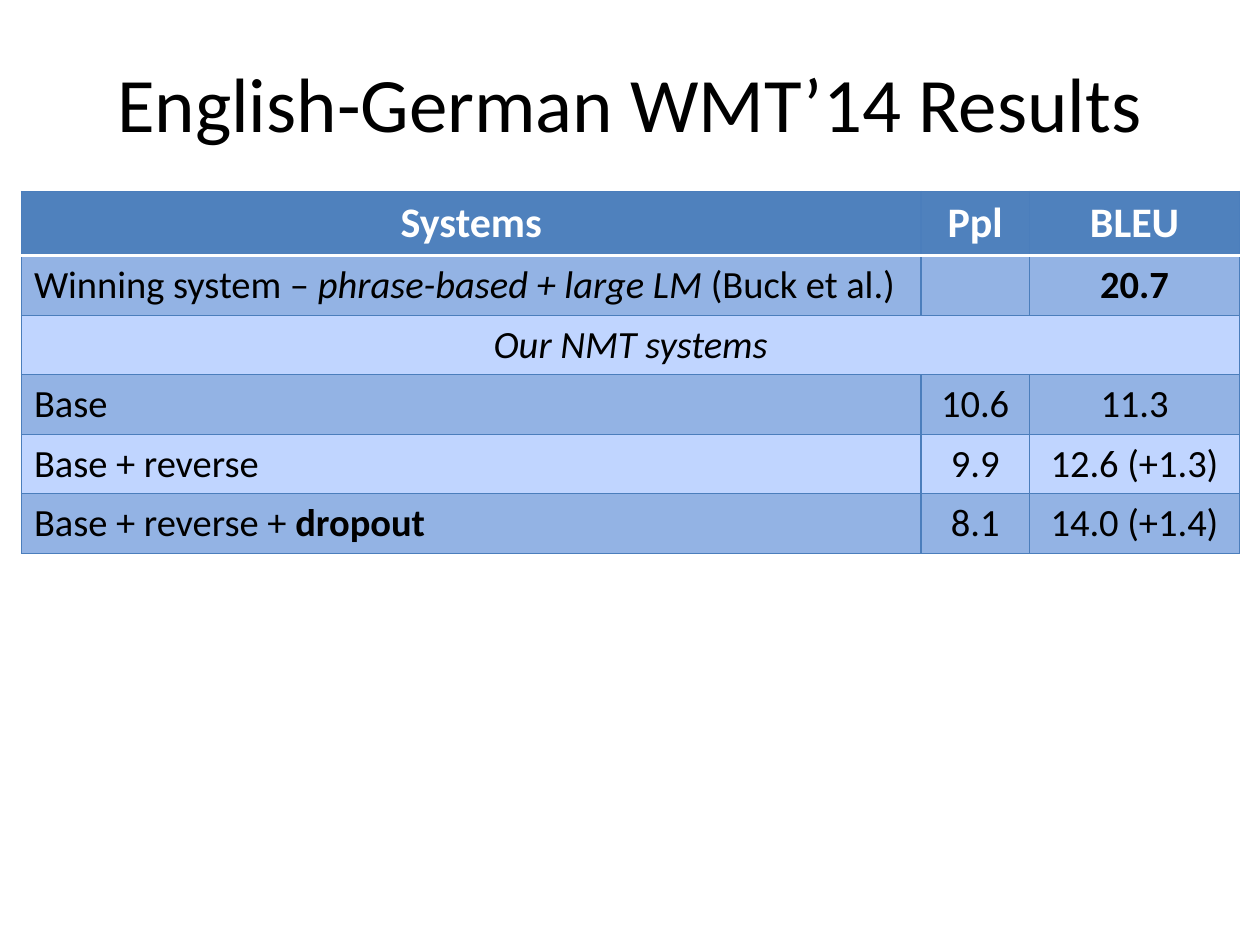
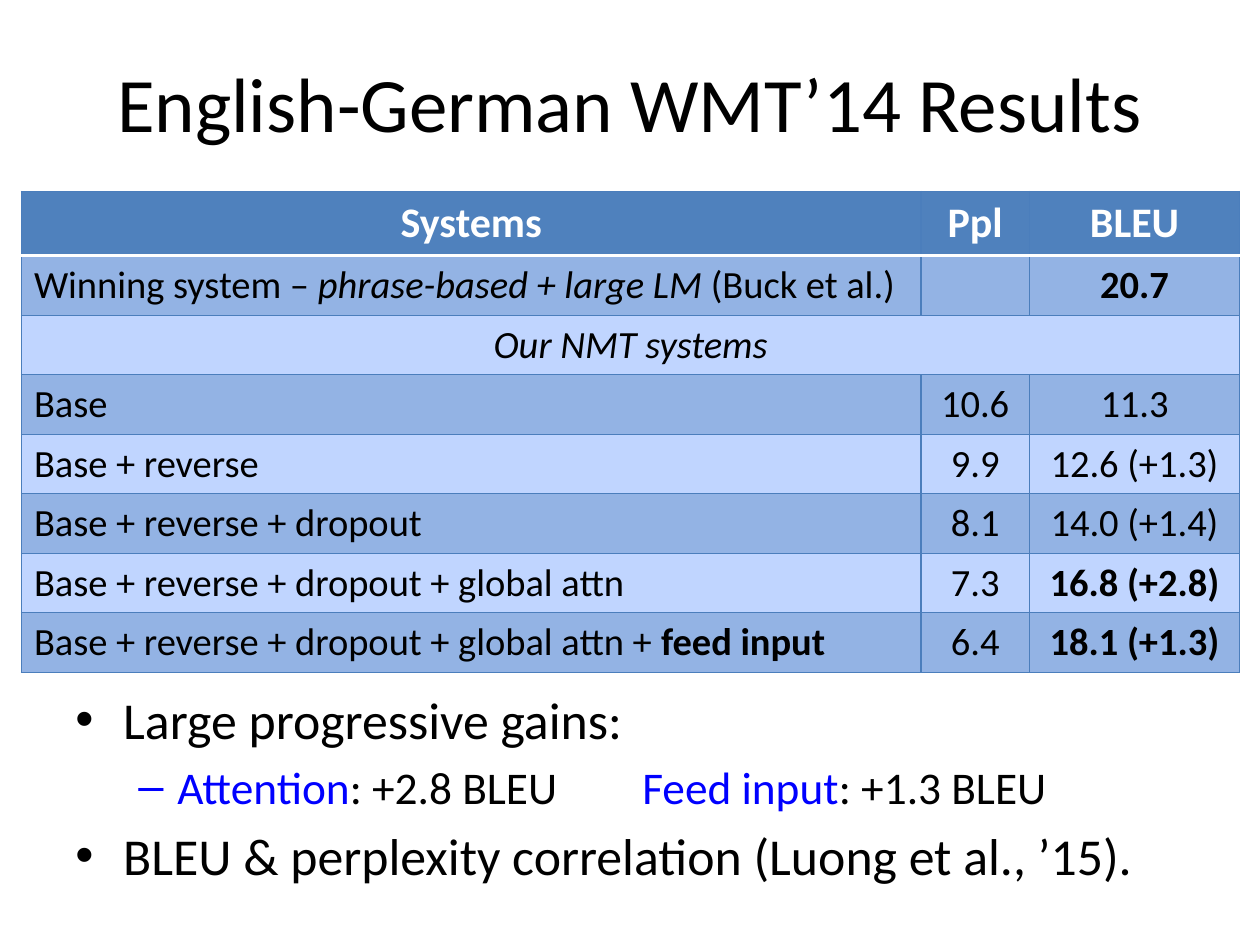
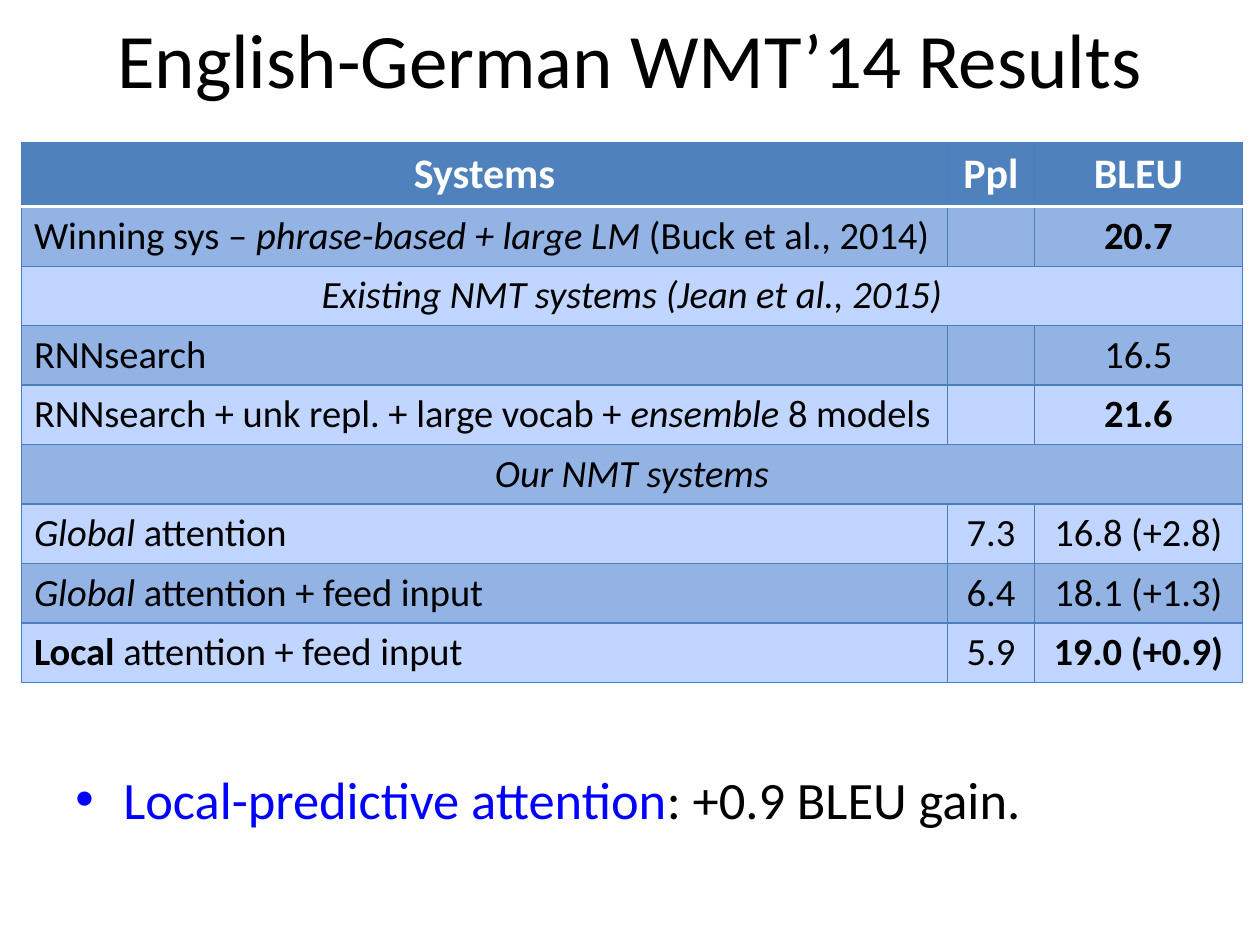
from dataclasses import dataclass

from lxml import etree
from pptx import Presentation
from pptx.dml.color import RGBColor
from pptx.enum.text import MSO_ANCHOR, PP_ALIGN
from pptx.oxml.ns import qn
from pptx.util import Inches, Pt

CENTER, LEFT = PP_ALIGN.CENTER, PP_ALIGN.LEFT
MIDDLE, TOP = MSO_ANCHOR.MIDDLE, MSO_ANCHOR.TOP
TITLE_ONLY = 5


@dataclass(frozen=True)
class Theme:
    """Colours, font and type sizes shared by the slides."""

    font: str = "Calibri"
    bullet_font: str = "Arial"
    black: str = "000000"
    white: str = "FFFFFF"
    accent: str = "0000FF"
    header: str = "4F81BD"
    dark_band: str = "93B3E4"
    light_band: str = "C0D5FF"
    grid: str = "4B7EBC"
    grid_width: float = 0.75
    header_rule: float = 2
    title_size: float = 44
    header_size: float = 24
    cell_size: float = 22


THEME = Theme()
TITLE = "English-German WMT’14 Results"
HEADER_HEIGHT, ROW_HEIGHT = 0.51, 0.47
BULLETS = (("•", 0.38, -0.38), ("–", 0.81, -0.31))

HEADINGS = ("Systems", "Ppl", "BLEU")
OUR_SYSTEMS = ([("Our NMT systems", "italic")],)
BASE_ROWS = [
    (
        [("Winning system – ", ""), ("phrase-based + large LM ", "italic"), ("(Buck et al.)", "")],
        [],
        [("20.7", "bold")],
    ),
    OUR_SYSTEMS,
    ([("Base", "")], [("10.6", "")], [("11.3", "")]),
    ([("Base + reverse", "")], [("9.9", "")], [("12.6 (+1.3)", "")]),
]
DROPOUT_ROWS = BASE_ROWS + [
    ([("Base + reverse + ", ""), ("dropout", "bold")], [("8.1", "")], [("14.0 (+1.4)", "")]),
]
ATTENTION_ROWS = BASE_ROWS + [
    ([("Base + reverse + dropout", "")], [("8.1", "")], [("14.0 (+1.4)", "")]),
    ([("Base + reverse + dropout + global attn", "")], [("7.3", "")], [("16.8 (+2.8)", "bold")]),
    (
        [("Base + reverse + dropout + global attn + ", ""), ("feed input", "bold")],
        [("6.4", "")],
        [("18.1 (+1.3)", "bold")],
    ),
]
COMPARISON_ROWS = [
    (
        [("Winning sys – ", ""), ("phrase-based + large LM ", "italic"), ("(Buck et al., 2014)", "")],
        [],
        [("20.7", "bold")],
    ),
    ([("Existing NMT systems (Jean et al., 2015)", "italic")],),
    ([("RNNsearch", "")], [], [("16.5", "")]),
    (
        [("RNNsearch + unk repl. + large vocab + ", ""), ("ensemble", "italic"), (" 8 models", "")],
        [],
        [("21.6", "bold")],
    ),
    OUR_SYSTEMS,
    ([("Global ", "italic"), ("attention", "")], [("7.3", "")], [("16.8 (+2.8)", "")]),
    ([("Global ", "italic"), ("attention + feed input", "")], [("6.4", "")], [("18.1 (+1.3)", "")]),
    ([("Local ", "bold"), ("attention + feed input", "")], [("5.9", "")], [("19.0 (+0.9)", "bold")]),
]
GAIN_POINTS = [
    (0, 29.6, [("Large progressive gains:", "")]),
    (
        1,
        25.9,
        [
            ("Attention", "accent"),
            (": +2.8 BLEU\t", ""),
            ("Feed input", "accent"),
            (": +1.3 BLEU", ""),
        ],
    ),
    (0, 29.6, [("BLEU & perplexity correlation (Luong et al., ’15).", "")]),
]
LOCAL_POINTS = [
    (0, 30, [("Local-predictive attention", "accent"), (": +0.9 BLEU gain.", "")]),
]


def add_spans(para, spans, size, color=THEME.black):
    """Add runs, each marked plain, bold, italic or accent."""
    for text, mark in spans:
        span = para.add_run()
        span.text = text
        span.font.name = THEME.font
        span.font.size = Pt(size)
        span.font.bold = mark == "bold"
        span.font.italic = mark == "italic"
        span.font.color.rgb = RGBColor.from_string(THEME.accent if mark == "accent" else color)


def add_title(page, box):
    """Place and format the title placeholder."""
    title = page.shapes.title
    title.left, title.top, title.width, title.height = map(Inches, box)
    title.text_frame.vertical_anchor = MIDDLE
    para = title.text_frame.paragraphs[0]
    para.alignment = CENTER
    add_spans(para, [(TITLE, "")], THEME.title_size)


def set_borders(cell, top, bottom):
    """Draw the four cell borders; top and bottom are colour and width pairs."""
    side = (THEME.grid, THEME.grid_width)
    properties = cell._tc.get_or_add_tcPr()
    edges = (("a:lnL", side), ("a:lnR", side), ("a:lnT", top), ("a:lnB", bottom))
    for position, (tag, (color, width)) in enumerate(edges):
        line = etree.Element(qn(tag), w=str(Pt(width)))
        fill = etree.SubElement(line, qn("a:solidFill"))
        etree.SubElement(fill, qn("a:srgbClr"), val=color)
        properties.insert(position, line)


def format_cell(cell, row, column, spans, centered):
    """Fill one cell, draw its borders and write its text."""
    band = THEME.dark_band if row % 2 else THEME.light_band
    cell.fill.solid()
    cell.fill.fore_color.rgb = RGBColor.from_string(band if row else THEME.header)
    grid = (THEME.grid, THEME.grid_width)
    rule = (THEME.white, THEME.header_rule)
    set_borders(cell, rule if row == 1 else grid, grid if row else rule)
    cell.vertical_anchor = TOP if row else MIDDLE
    para = cell.text_frame.paragraphs[0]
    para.alignment = CENTER if centered or column else LEFT
    if row:
        add_spans(para, spans, THEME.cell_size)
    else:
        add_spans(para, spans, THEME.header_size, THEME.white)


def add_results(page, left, top, widths, rows):
    """Add a results table; a row with a single entry spans all columns."""
    lines = [tuple([(heading, "bold")] for heading in HEADINGS)] + rows
    heights = [HEADER_HEIGHT] + [ROW_HEIGHT] * len(rows)
    box = (left, top, sum(widths), sum(heights))
    table = page.shapes.add_table(len(lines), len(widths), *map(Inches, box)).table
    for column, width in zip(table.columns, widths):
        column.width = Inches(width)
    for row, (height, entries) in enumerate(zip(heights, lines)):
        table.rows[row].height = Inches(height)
        spanning = len(entries) == 1
        for column in range(len(widths)):
            spans = entries[column] if column < len(entries) else []
            format_cell(table.cell(row, column), row, column, spans, spanning or row == 0)
        if spanning:
            table.cell(row, 0).merge(table.cell(row, len(widths) - 1))


def set_bullet(para, level, color, tab=4.5):
    """Give a paragraph its hanging bullet and a tab stop."""
    symbol, margin, indent = BULLETS[level]
    para.level = level
    properties = para._p.get_or_add_pPr()
    properties.set("marL", str(Inches(margin)))
    properties.set("indent", str(Inches(indent)))
    bullet_color = etree.SubElement(properties, qn("a:buClr"))
    etree.SubElement(bullet_color, qn("a:srgbClr"), val=color)
    etree.SubElement(properties, qn("a:buFont"), typeface=THEME.bullet_font)
    etree.SubElement(properties, qn("a:buChar"), char=symbol)
    tabs = etree.SubElement(properties, qn("a:tabLst"))
    etree.SubElement(tabs, qn("a:tab"), pos=str(Inches(tab)), algn="l")


def add_points(page, box, points):
    """Add a bulleted text box."""
    frame = page.shapes.add_textbox(*map(Inches, box)).text_frame
    frame.word_wrap = True
    for number, (level, size, spans) in enumerate(points):
        para = frame.add_paragraph() if number else frame.paragraphs[0]
        set_bullet(para, level, THEME.accent if spans[0][1] == "accent" else THEME.black)
        para.space_before = Pt(round(size * 0.2, 1) if number else 0)
        add_spans(para, spans, size)


def add_results_page(deck, title_top, table_top, widths, rows, points=(), points_box=None):
    """Build a slide with a title, a results table and optional points."""
    page = deck.slides.add_slide(deck.slide_layouts[TITLE_ONLY])
    add_title(page, (0.5, title_top, 9, 1.25))
    add_results(page, 0.17, table_top, widths, rows)
    if points:
        add_points(page, points_box, points)


def main():
    """Build and save the deck."""
    deck = Presentation()
    deck.slide_width, deck.slide_height = Inches(10), Inches(7.5)
    widths = (7.14, 0.86, 1.67)
    add_results_page(deck, 0.18, 1.52, widths, DROPOUT_ROWS)
    add_results_page(deck, 0.18, 1.52, widths, ATTENTION_ROWS, GAIN_POINTS, (0.5, 5.41, 9, 1.79))
    add_results_page(
        deck, -0.17, 1.13, (7.35, 0.69, 1.65), COMPARISON_ROWS, LOCAL_POINTS, (0.5, 6.04, 9.25, 0.58)
    )
    deck.save("out.pptx")


if __name__ == "__main__":
    main()
